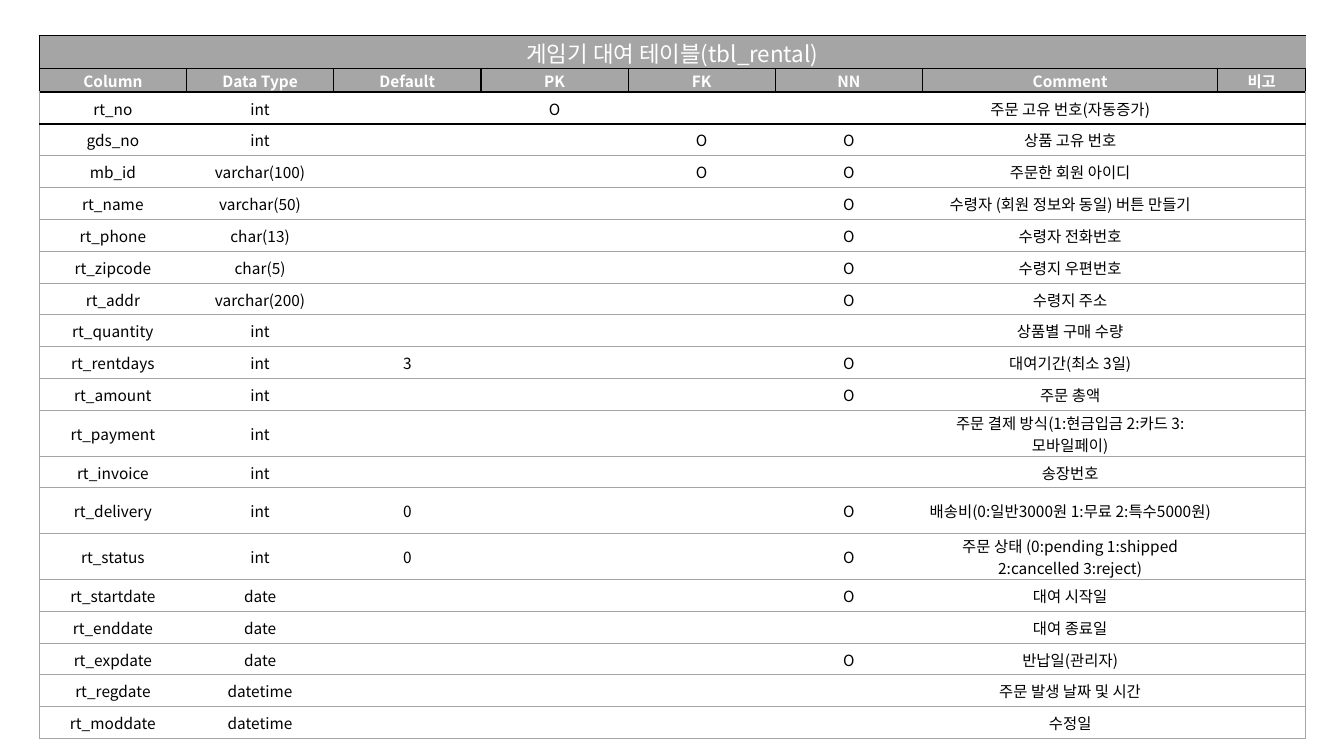
from lxml.etree import SubElement
from pptx import Presentation
from pptx.dml.color import RGBColor as Color
from pptx.enum.text import MSO_ANCHOR as Anchor, PP_ALIGN as Align
from pptx.oxml.ns import qn
from pptx.util import Inches, Pt

SLIDE_WIDTH, SLIDE_HEIGHT = 13.33, 7.5
LEFT, TOP = 0.39, 0.35
COLUMN_WIDTHS = [1.46] * 6 + [2.93, 0.87]
TITLE_HEIGHT, HEADER_HEIGHT, BODY_HEIGHT = 0.28, 0.22, 6.0
FONT = "Noto Sans CJK KR"
COLORS = {"header": "A6A6A6", "title": "A5A5A5", "rule": "A5A5A5",
          "frame": "000000", "text": "000000", "light": "FFFFFF"}
THIN, FRAME, THICK = ("rule", 0.5), ("frame", 1), ("frame", 1.5)
TITLE = "게임기 대여 테이블(tbl_rental)"
HEADERS = ["Column", "Data Type", "Default", "PK", "FK", "NN", "Comment", "비고"]
KEYS = ["PK", "FK", "NN"]
FIELDS = [
    ("rt_no", "int", "", "PK", "주문 고유 번호(자동증가)"),
    ("gds_no", "int", "", "FK NN", "상품 고유 번호"),
    ("mb_id", "varchar(100)", "", "FK NN", "주문한 회원 아이디"),
    ("rt_name", "varchar(50)", "", "NN", "수령자 (회원 정보와 동일) 버튼 만들기"),
    ("rt_phone", "char(13)", "", "NN", "수령자 전화번호"),
    ("rt_zipcode", "char(5)", "", "NN", "수령지 우편번호"),
    ("rt_addr", "varchar(200)", "", "NN", "수령지 주소"),
    ("rt_quantity", "int", "", "", "상품별 구매 수량"),
    ("rt_rentdays", "int", "3", "NN", "대여기간(최소 3일)"),
    ("rt_amount", "int", "", "NN", "주문 총액"),
    ("rt_payment", "int", "", "", "주문 결제 방식(1:현금입금 2:카드 3:모바일페이)"),
    ("rt_invoice", "int", "", "", "송장번호"),
    ("rt_delivery", "int", "0", "NN", "배송비(0:일반3000원 1:무료 2:특수5000원)"),
    ("rt_status", "int", "0", "NN", "주문 상태 (0:pending 1:shipped 2:cancelled 3:reject)"),
    ("rt_startdate", "date", "", "NN", "대여 시작일"),
    ("rt_enddate", "date", "", "", "대여 종료일"),
    ("rt_expdate", "date", "", "NN", "반납일(관리자)"),
    ("rt_regdate", "datetime", "", "", "주문 발생 날짜 및 시간"),
    ("rt_moddate", "datetime", "", "", "수정일"),
]


def color(name):
    """Return the named palette colour."""
    return Color.from_string(COLORS[name])


def write_text(cell, text, size=11, bold=False, ink="text"):
    """Write centred text in a cell, keeping empty cells at the same size."""
    cell.vertical_anchor = Anchor.MIDDLE
    cell.margin_left = cell.margin_right = cell.margin_top = Inches(0.01)
    cell.margin_bottom = 0
    paragraph = cell.text_frame.paragraphs[0]
    paragraph.alignment = Align.CENTER
    if not text:
        SubElement(paragraph._p, qn("a:endParaRPr"), sz=str(size * 100))
        return
    run = paragraph.add_run()
    run.text = text
    font = run.font
    font.name, font.size, font.bold = FONT, Pt(size), bold
    font.color.rgb = color(ink)
    SubElement(run._r.get_or_add_rPr(), qn("a:ea"), typeface=FONT)


def draw_borders(cell, left=None, right=None, top=None, bottom=None):
    """Draw each given side as (colour, points) and hide the others."""
    properties = cell._tc.get_or_add_tcPr()
    sides = {"a:lnL": left, "a:lnR": right, "a:lnT": top, "a:lnB": bottom}
    for tag, border in sides.items():
        ink, points = border or (None, 0)
        line = SubElement(properties, qn(tag), w=str(Pt(points)))
        if ink:
            fill = SubElement(line, qn("a:solidFill"))
            SubElement(fill, qn("a:srgbClr"), val=COLORS[ink])
        else:
            SubElement(line, qn("a:noFill"))


def fill_cell(cell, name=None):
    """Fill a cell with a palette colour or leave it clear."""
    if name:
        cell.fill.solid()
        cell.fill.fore_color.rgb = color(name)
    else:
        cell.fill.background()


def add_grid(slide):
    """Add the empty table with its column widths and row heights."""
    heights = [TITLE_HEIGHT, HEADER_HEIGHT]
    heights += [BODY_HEIGHT / len(FIELDS)] * len(FIELDS)
    frame = slide.shapes.add_table(
        len(heights), len(COLUMN_WIDTHS), Inches(LEFT), Inches(TOP),
        Inches(sum(COLUMN_WIDTHS)), Inches(sum(heights)))
    table = frame.table
    table.first_row = table.horz_banding = False
    for column, width in zip(table.columns, COLUMN_WIDTHS):
        column.width = Inches(width)
    for row, height in zip(table.rows, heights):
        row.height = Inches(height)
    return table


def add_headings(table):
    """Write the title band and the column headings."""
    last = len(HEADERS) - 1
    title = table.cell(0, 0)
    title.merge(table.cell(0, last))
    write_text(title, TITLE, size=16, ink="light")
    for index, text in enumerate(HEADERS):
        band, heading = table.cell(0, index), table.cell(1, index)
        draw_borders(band, left=None if index else FRAME,
                     right=FRAME if index == last else None, top=FRAME, bottom=THICK)
        fill_cell(band, "title")
        write_text(heading, text, bold=True, ink="light")
        draw_borders(heading, left=FRAME, right=FRAME, top=THICK, bottom=FRAME)
        fill_cell(heading, "header")


def add_fields(table):
    """Write one row for each field, with rules between the rows."""
    rules = [FRAME, THICK] + [THIN] * (len(FIELDS) - 1)
    last = len(HEADERS) - 1
    for row, (name, kind, default, keys, comment) in enumerate(FIELDS):
        marks = ["O" if key in keys.split() else "" for key in KEYS]
        for index, text in enumerate([name, kind, default, *marks, comment, ""]):
            cell = table.cell(row + 2, index)
            write_text(cell, text)
            draw_borders(cell, left=None if index else THIN,
                         right=THIN if index == last else None,
                         top=rules[row], bottom=rules[row + 1])
            fill_cell(cell)


def main():
    """Build and save the rental table slide."""
    presentation = Presentation()
    presentation.slide_width = Inches(SLIDE_WIDTH)
    presentation.slide_height = Inches(SLIDE_HEIGHT)
    slide = presentation.slides.add_slide(presentation.slide_layouts[6])
    table = add_grid(slide)
    add_headings(table)
    add_fields(table)
    presentation.save("out.pptx")


if __name__ == "__main__":
    main()
